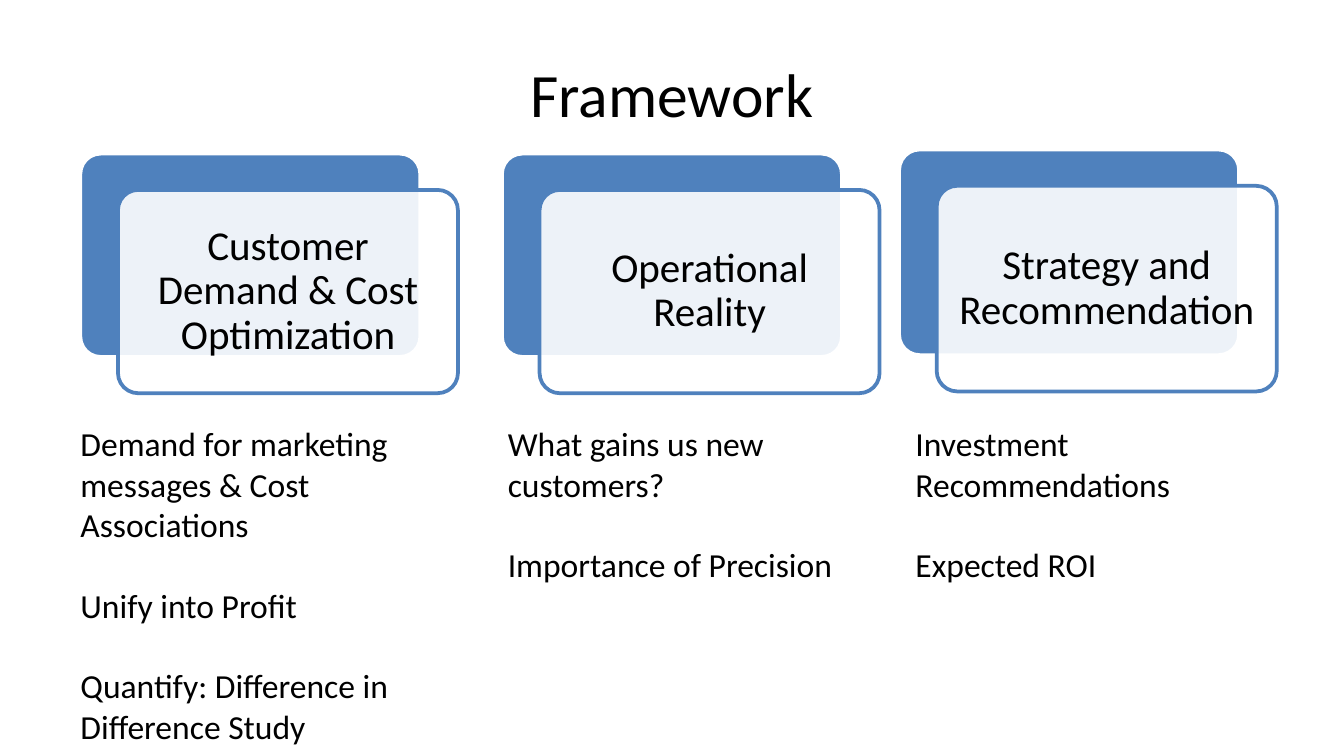
import lxml.etree
import pptx
import pptx.dml.color
import pptx.enum.shapes
import pptx.enum.text
import pptx.oxml.ns
import pptx.util

UNIT = pptx.util.Inches(0.1)
COLS, ROWS = 100, 56.25
BLUE, WHITE, BLACK = "4F81BD", "FFFFFF", "000000"
ALIGN = pptx.enum.text.PP_ALIGN
MIDDLE = pptx.enum.text.MSO_ANCHOR.MIDDLE
GROW = pptx.enum.text.MSO_AUTO_SIZE.SHAPE_TO_FIT_TEXT
ROUND = pptx.enum.shapes.MSO_SHAPE.ROUNDED_RECTANGLE
EDGES = ("margin_left", "margin_top", "margin_right", "margin_bottom")
STEP = (2.8, 2.7)
INSET = 0.44

ITEMS = [
    ((5.98, 11.43, 25.3, 15.13), "Customer Demand & Cost Optimization",
     (5, 31, 27.2, 25.2),
     ["Demand for marketing messages & Cost Associations", "Unify into Profit",
      "Quantify: Difference in Difference Study"]),
    ((37.35, 11.43, 25.3, 15.13), "Operational Reality",
     (36.8, 31, 27.2, 13.1),
     ["What gains us new customers?", "Importance of Precision"]),
    ((66.9, 11.13, 25.3, 15.3), "Strategy and Recommendation",
     (67.13, 31, 27.9, 13.1),
     ["Investment Recommendations", "Expected ROI"]),
]


def grid(box):
    return [round(n * UNIT) for n in box]


def tint(color, code):
    color.rgb = pptx.dml.color.RGBColor.from_string(code)


def apply(part, form):
    for name, value in form.items():
        setattr(part, name, value)


def write(shapes, box, lines, size, look, form):
    frame = shapes.add_textbox(*grid(box)).text_frame
    apply(frame, {"word_wrap": True, **look})
    for i, line in enumerate(lines):
        para = frame.paragraphs[0] if i == 0 else frame.add_paragraph()
        apply(para, form)
        if i:
            para.space_before = pptx.util.Pt(21.6)
        run = para.add_run()
        run.text = line
        apply(run.font, {"name": "Calibri", "size": pptx.util.Pt(size)})
        tint(run.font.color, BLACK)


def panel(shapes, box, fill, edge):
    shape = shapes.add_shape(ROUND, *grid(box))
    shape.shadow.inherit = False
    shape.adjustments[0] = 0.1
    shape.fill.solid()
    tint(shape.fill.fore_color, fill)
    tint(shape.line.color, edge)
    shape.line.width = pptx.util.Pt(2)
    return shape


def fade(shape, share):
    tag = pptx.oxml.ns.qn
    color = shape.fill._xPr.find(tag("a:solidFill")).find(tag("a:srgbClr"))
    lxml.etree.SubElement(color, tag("a:alpha"), val=str(share * 1000))


def title(slide, box, text):
    write(slide.shapes, box, [text], 33, {"vertical_anchor": MIDDLE},
          {"alignment": ALIGN.CENTER})


def card(slide, box, text):
    left, top, width, height = box
    shapes = slide.shapes.add_group_shape().shapes
    panel(shapes, box, BLUE, WHITE)
    left, top = left + STEP[0], top + STEP[1]
    fade(panel(shapes, (left, top, width, height), WHITE, BLUE), 90)
    label = (left + INSET, top + INSET, width - 2 * INSET, height - 2 * INSET)
    look = dict.fromkeys(EDGES, pptx.util.Inches(0.09))
    write(shapes, label, [text], 22, {"vertical_anchor": MIDDLE, **look},
          {"alignment": ALIGN.CENTER, "line_spacing": 0.9})


def notes(slide, box, lines):
    write(slide.shapes, box, lines, 18, {"auto_size": GROW},
          {"alignment": ALIGN.LEFT})


def main():
    deck = pptx.Presentation()
    deck.slide_width, deck.slide_height = grid((COLS, ROWS))
    slide = deck.slides.add_slide(deck.slide_layouts[6])
    title(slide, (5, 2.25, 90, 9.38), "Framework")
    for top, head, base, lines in ITEMS:
        card(slide, top, head)
        notes(slide, base, lines)
    deck.save("out.pptx")


if __name__ == "__main__":
    main()
